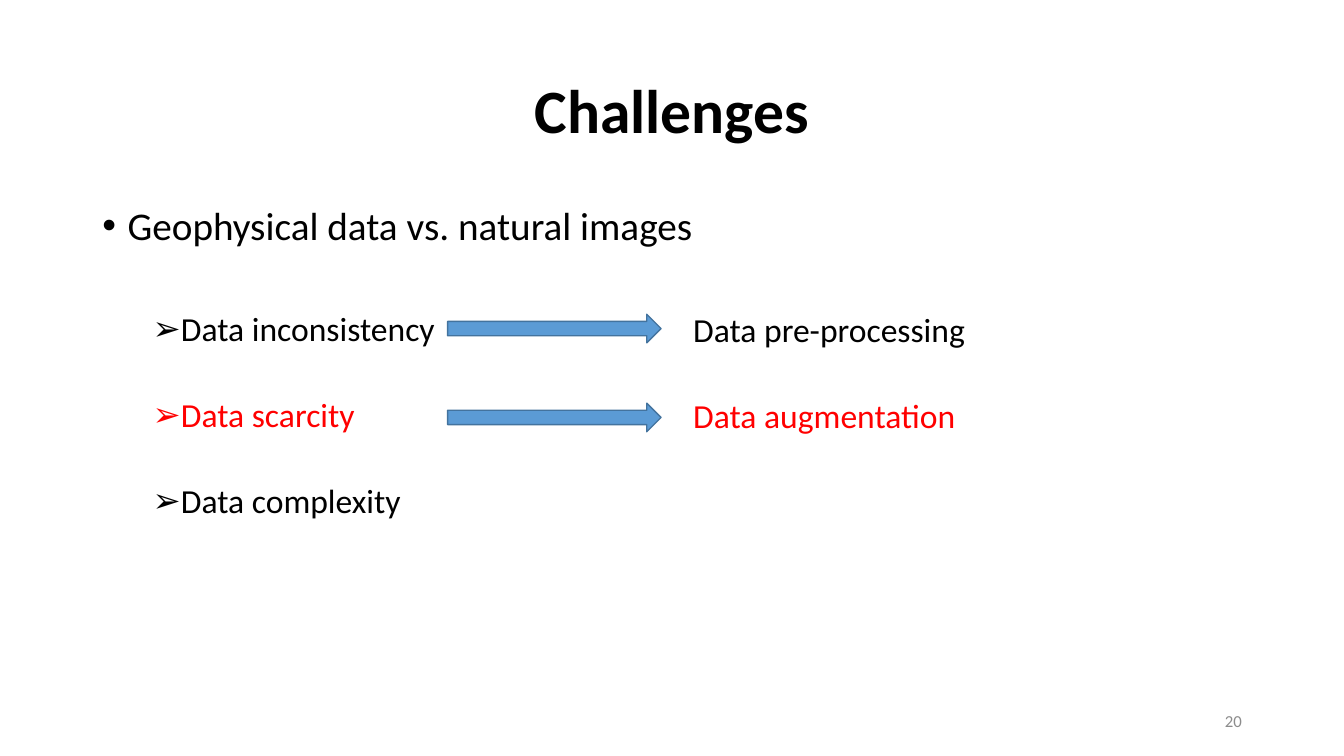
from lxml import etree
from pptx import Presentation
from pptx.dml.color import RGBColor
from pptx.enum.shapes import MSO_SHAPE
from pptx.enum.text import MSO_ANCHOR, MSO_AUTO_SIZE, PP_ALIGN
from pptx.oxml.ns import qn
from pptx.util import Cm, Pt

BLACK = RGBColor(0x00, 0x00, 0x00)
RED = RGBColor(0xFF, 0x00, 0x00)
GREY = RGBColor(0x8C, 0x8C, 0x8C)
BLUE = RGBColor(0x5B, 0x9B, 0xD5)
DARK_BLUE = RGBColor(0x43, 0x73, 0x9E)
LEFT, CENTER, RIGHT = PP_ALIGN.LEFT, PP_ALIGN.CENTER, PP_ALIGN.RIGHT
TOP, MIDDLE = MSO_ANCHOR.TOP, MSO_ANCHOR.MIDDLE
NO_FIT = MSO_AUTO_SIZE.NONE
RIGHT_ARROW = MSO_SHAPE.RIGHT_ARROW
TITLE_ONLY = 5


class SlideBuilder:
    """Hold the text style and the current slide."""

    def __init__(self, prs, font="Calibri"):
        """Add a title-only slide."""
        self.font = font
        self.s = prs.slides.add_slide(prs.slide_layouts[TITLE_ONLY])

    def add_text(self, p, text, size, color=BLACK, bold=False, **layout):
        """Put formatted text into a paragraph."""
        for name, value in layout.items():
            setattr(p, name, value)
        r = p.add_run()
        r.text = text
        style = {"name": self.font, "size": Pt(size), "bold": bold}
        for name, value in style.items():
            setattr(r.font, name, value)
        r.font.color.rgb = color

    def frame(self, sp, anchor):
        """Set up the text frame of a shape."""
        tf = sp.text_frame
        settings = {"word_wrap": True, "auto_size": NO_FIT, "vertical_anchor": anchor}
        for name, value in settings.items():
            setattr(tf, name, value)
        return tf

    def title(self, text, left, top, width, height):
        """Move and fill the title placeholder."""
        sp = self.s.shapes.title
        box = {"left": left, "top": top, "width": width, "height": height}
        for name, value in box.items():
            setattr(sp, name, Cm(value))
        p = self.frame(sp, MIDDLE).paragraphs[0]
        self.add_text(p, text, 44, bold=True, alignment=CENTER, line_spacing=0.9)

    def textbox(self, box, anchor=TOP):
        """Add a wrapping text box and return its frame."""
        return self.frame(self.s.shapes.add_textbox(*map(Cm, box)), anchor)

    def label(self, text, box, size, color=BLACK, align=LEFT, anchor=TOP):
        """Add a one-paragraph text box."""
        p = self.textbox(box, anchor).paragraphs[0]
        self.add_text(p, text, size, color, alignment=align)

    def bullets(self, items, box):
        """Add a list of (text, bullet, indent, size, color, space before)."""
        tf = self.textbox(box)
        for i, (text, char, indent, size, color, before) in enumerate(items):
            p = tf.add_paragraph() if i else tf.paragraphs[0]
            pPr = p._p.get_or_add_pPr()
            pPr.set("marL", str(Cm(indent)))
            pPr.set("indent", str(-Cm(0.64)))
            etree.SubElement(pPr, qn("a:buFont")).set("typeface", "Arial")
            etree.SubElement(pPr, qn("a:buChar")).set("char", char)
            self.add_text(p, text, size, color, line_spacing=0.9, space_before=Pt(before))

    def arrow(self, box):
        """Add a block arrow pointing right."""
        sp = self.s.shapes.add_shape(RIGHT_ARROW, *map(Cm, box))
        sp.shadow.inherit = False
        sp.fill.solid()
        sp.fill.fore_color.rgb = BLUE
        sp.line.color.rgb = DARK_BLUE
        sp.line.width = Pt(1)


def main():
    """Build the slide on challenges and their remedies."""
    prs = Presentation()
    prs.slide_width, prs.slide_height = Cm(33.87), Cm(19.05)
    slide = SlideBuilder(prs)
    slide.title("Challenges", 2.33, 1.02, 29.21, 3.68)

    challenges = [("Data inconsistency", BLACK, 45.5),
                  ("Data scarcity", RED, 35.5),
                  ("Data complexity", BLACK, 35.5)]
    items = [("Geophysical data vs. natural images", "•", 0.64, 28, BLACK, 0)]
    items += [(text, "➢", 1.91, 24, color, before) for text, color, before in challenges]
    slide.bullets(items, (2.33, 5.08, 29.21, 12.09))

    remedies = [("Data pre-processing", BLACK), ("Data augmentation", RED)]
    for i, (text, color) in enumerate(remedies):
        slide.arrow((11.28, 7.92 + 2.24 * i, 5.38, 0.72))
        slide.label(text, (17.22, 7.65 + 2.18 * i, 7.85, 1.27), 24, color)

    slide.label("20", (23.93, 17.65, 7.62, 1.02), 12, GREY, RIGHT, MIDDLE)
    prs.save("out.pptx")


if __name__ == "__main__":
    main()
